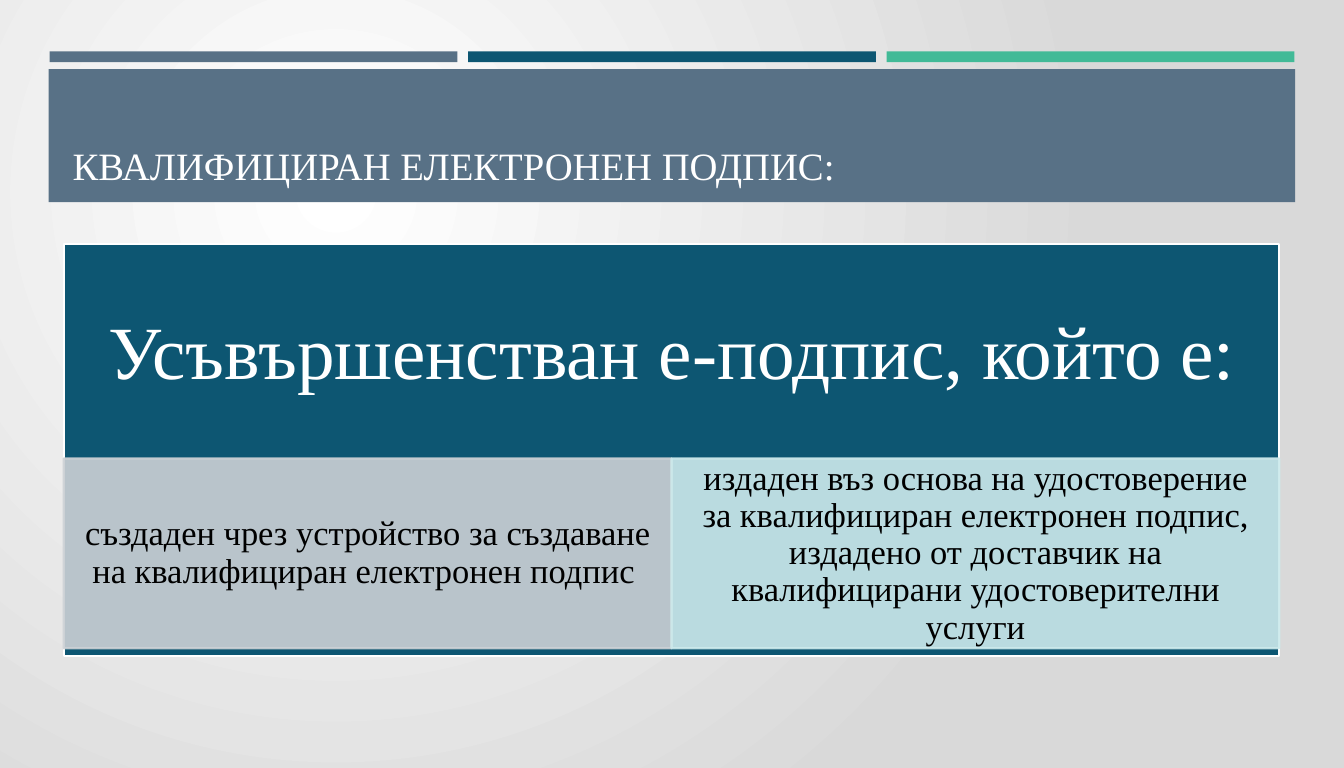
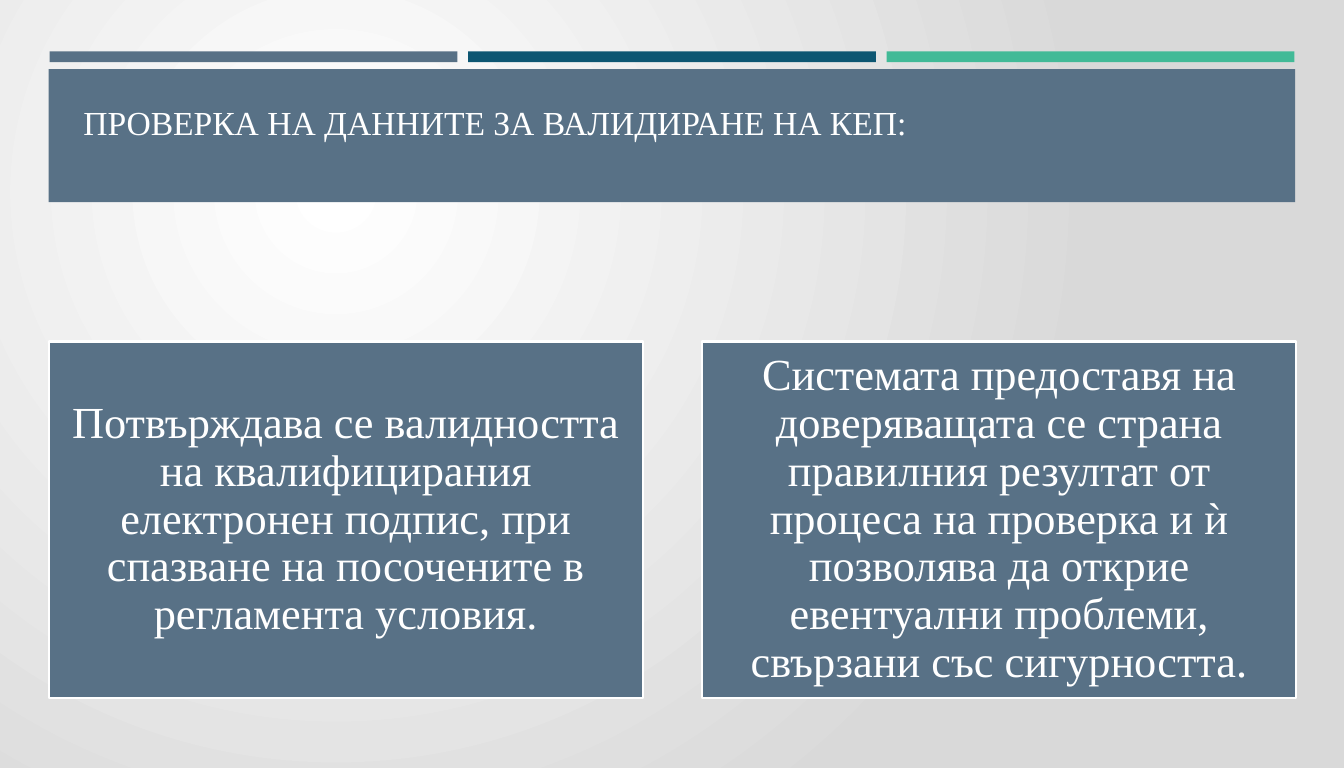
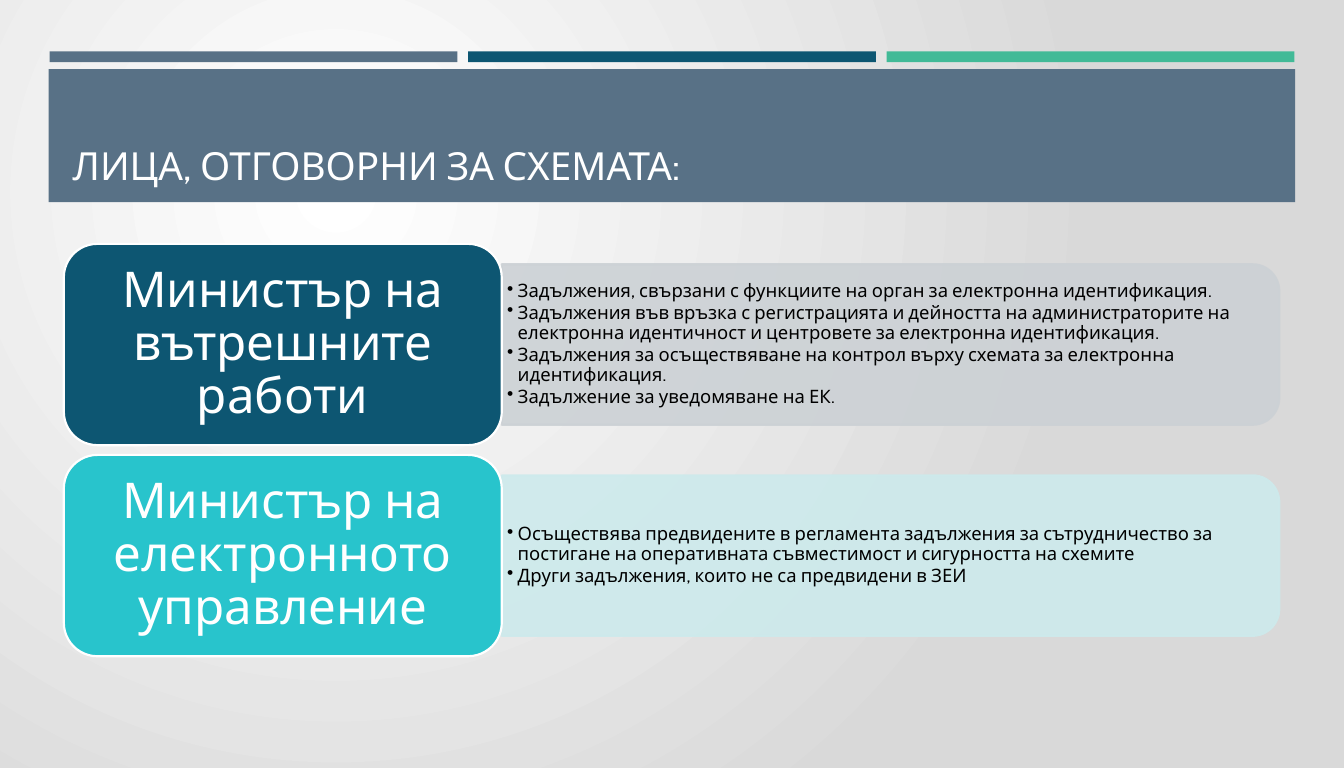
from dataclasses import dataclass

from lxml import etree
from pptx import Presentation
from pptx import util as u
from pptx.dml.color import RGBColor
from pptx.enum import shapes, text
from pptx.oxml.ns import qn

COLORS = {
    "slate": "587186",
    "navy": "0D5672",
    "green": "42BA97",
    "aqua": "28C4CC",
    "pale_slate": "CCD1D5",
    "pale_aqua": "CDEAEC",
    "white": "FFFFFF",
    "black": "000000",
    "backdrop": "D9D9D9",
}
SERIF, SANS = "Times New Roman", "Cabin"
RECT = shapes.MSO_SHAPE.RECTANGLE
ROUNDED = shapes.MSO_SHAPE.ROUNDED_RECTANGLE
HALF_ROUNDED = shapes.MSO_SHAPE.ROUND_2_SAME_RECTANGLE


@dataclass
class Box:
    """A region in inches."""
    left: float
    top: float
    width: float
    height: float

    def inches(self):
        return [u.Inches(n) for n in (self.left, self.top, self.width, self.height)]

    def columns(self, count, gap=0):
        width = (self.width - gap * (count - 1)) / count
        return [Box(self.left + i * (width + gap), self.top, width, self.height)
                for i in range(count)]

    def rows(self, count, gap=0):
        height = (self.height - gap * (count - 1)) / count
        return [Box(self.left, self.top + i * (height + gap), self.width, height)
                for i in range(count)]

    def turned(self):
        """Frame that covers this region after a quarter turn."""
        return Box(self.left + (self.width - self.height) / 2,
                   self.top + (self.height - self.width) / 2,
                   self.height, self.width)


CONTENT = Box(0.72, 2.75, 13.71, 4.65)
TITLE = Box(0.72, 0.89, 13.71, 1.28)


def rgb(name):
    return RGBColor.from_string(COLORS[name])


# Basic parts
def add_panel(page, box, color, outline="white", kind=RECT, opacity=100):
    panel = page.shapes.add_shape(kind, *box.inches())
    panel.shadow.inherit = False
    panel.fill.solid()
    panel.fill.fore_color.rgb = rgb(color)
    if outline:
        panel.line.color.rgb = rgb(outline)
        panel.line.width = u.Pt(1.75)
    else:
        panel.line.fill.background()
    if opacity < 100:
        for tint in panel.element.spPr.iter(qn("a:srgbClr")):
            etree.SubElement(tint, qn("a:alpha")).set("val", str(opacity * 1000))
    return panel


def set_margins(frame, left, top, right, bottom):
    frame.margin_left, frame.margin_top = u.Inches(left), u.Inches(top)
    frame.margin_right, frame.margin_bottom = u.Inches(right), u.Inches(bottom)


def style_runs(para, size, font, color):
    for span in para.runs:
        span.font.size = u.Pt(size)
        span.font.name = font
        span.font.color.rgb = rgb(color)


def write_centred(shape, words, size, font, color="white", margins=(0.15,) * 4):
    frame = shape.text_frame
    frame.word_wrap = True
    frame.vertical_anchor = text.MSO_ANCHOR.MIDDLE
    set_margins(frame, *margins)
    frame.text = words
    para = frame.paragraphs[0]
    para.alignment = text.PP_ALIGN.CENTER
    para.line_spacing = 0.9
    style_runs(para, size, font, color)


def add_bullets(page, box, items):
    frame = page.shapes.add_textbox(*box.inches()).text_frame
    frame.word_wrap = True
    frame.vertical_anchor = text.MSO_ANCHOR.MIDDLE
    set_margins(frame, 0.06, 0.03, 0.06, 0.03)
    frame.text = "\n".join(items)
    for para in frame.paragraphs:
        properties = para._p.get_or_add_pPr()
        properties.set("marL", str(u.Inches(0.12)))
        properties.set("indent", str(-u.Inches(0.12)))
        etree.SubElement(properties, qn("a:buChar")).set("char", "•")
        para.line_spacing = 0.9
        para.space_after = u.Pt(1.5)
        style_runs(para, 15, SANS, "black")


# Shared look
def paint_background(master):
    fill = master.background.fill
    fill.gradient()
    for stop, name in zip(fill.gradient_stops, ("white", "backdrop")):
        stop.color.rgb = rgb(name)
    gradient = next(master.element.iter(qn("a:gradFill")))
    gradient.remove(gradient.find(qn("a:lin")))
    circle = etree.SubElement(gradient, qn("a:path"))
    circle.set("path", "circle")
    focus = etree.SubElement(circle, qn("a:fillToRect"))
    for side, share in zip("ltrb", (50, 50, 100, 100)):
        focus.set(side, str(share * 1000))


def move_bands_to_layout(page, layout):
    stripes = Box(0.56, 0.58, 14.04, 0.12).columns(3, gap=0.12)
    bands = [add_panel(page, box, color, outline=None)
             for box, color in zip(stripes, ("slate", "navy", "green"))]
    bands.append(add_panel(page, Box(0.55, 0.78, 14.06, 1.5), "slate", outline=None))
    for index, band in enumerate(bands):
        band.element.nvSpPr.cNvPr.set("id", str(20 + index))
        layout.shapes.element.insert(2 + index, band.element)


def add_page(deck, words, box=TITLE, size=31.4, font=SERIF):
    page = deck.slides.add_slide(deck.slide_layouts[5])
    title = page.shapes.title
    title.left, title.top, title.width, title.height = box.inches()
    frame = title.text_frame
    frame.text = words
    frame.word_wrap = True
    frame.auto_size = text.MSO_AUTO_SIZE.NONE
    frame.vertical_anchor = text.MSO_ANCHOR.BOTTOM
    frame.paragraphs[0].alignment = text.PP_ALIGN.LEFT
    style_runs(frame.paragraphs[0], size, font, "white")
    return page


# Content regions
def add_definition(page, box, heading, parts):
    """Heading block with a row of tinted parts near its foot."""
    header_height, part_top, part_height = 2.51, 2.42, 2.14
    block = add_panel(page, box, "navy")
    foot = box.height - header_height + 0.47
    write_centred(block, heading, 61, SERIF, margins=(0.47, 0.47, 0.47, foot))
    strip = Box(box.left, box.top + part_top, box.width, part_height)
    for cell, (color, words) in zip(strip.columns(len(parts)), parts):
        panel = add_panel(page, cell, color, outline=color, opacity=90)
        write_centred(panel, words, 28, SERIF, "black", (0.22, 0.04, 0.22, 0.04))


def add_cards(page, box, statements):
    for cell, words in zip(box.columns(len(statements), gap=0.67), statements):
        write_centred(add_panel(page, cell, "slate"), words, 36, SERIF)


def add_duty_row(page, box, name, color, tint, duties):
    """Rounded name block with a tinted list of duties on its right."""
    name_width, inset = 4.94, 0.23
    area = Box(box.left + name_width, box.top + inset,
               box.width - name_width, box.height - 2 * inset)
    back = add_panel(page, area.turned(), tint, tint, HALF_ROUNDED, 90)
    back.rotation = 90
    add_bullets(page, Box(area.left, area.top + 0.09, area.width - 0.09,
                          area.height - 0.18), duties)
    block = add_panel(page, Box(box.left, box.top, name_width, box.height),
                      color, kind=ROUNDED)
    write_centred(block, name, 40, SANS, margins=(0.17, 0.08, 0.17, 0.08))


def main():
    deck = Presentation()
    deck.slide_width, deck.slide_height = u.Inches(15.16), u.Inches(8.66)
    paint_background(deck.slide_master)

    # Definition of the signature
    page = add_page(deck, "КВАЛИФИЦИРАН ЕЛЕКТРОНЕН ПОДПИС:")
    move_bands_to_layout(page, deck.slide_layouts[5])
    add_definition(page, CONTENT, "Усъвършенстван е-подпис, който е:", [
        ("pale_slate", "създаден чрез устройство за създаване на квалифициран "
                       "електронен подпис "),
        ("pale_aqua", "издаден въз основа на удостоверение за квалифициран "
                      "електронен подпис, издадено от доставчик на "
                      "квалифицирани удостоверителни услуги"),
    ])

    # Validation
    page = add_page(deck, "ПРОВЕРКА НА ДАННИТЕ ЗА ВАЛИДИРАНЕ НА КЕП:",
                    Box(0.84, 0.83, 10.69, 0.82), 27.3)
    add_cards(page, Box(0.55, 3.85, 14.07, 4.02), [
        "Потвърждава се валидността на квалифицирания електронен подпис, "
        "при спазване на посочените в регламента условия.",
        "Системата предоставя на доверяващата се страна правилния резултат "
        "от процеса на проверка и ѝ позволява да открие евентуални "
        "проблеми, свързани със сигурността.",
    ])

    # Responsible persons
    page = add_page(deck, "ЛИЦА, ОТГОВОРНИ ЗА СХЕМАТА:", font=SANS)
    ministers = [
        ("Министър на вътрешните работи", "navy", "pale_slate", [
            "Задължения, свързани с функциите на орган за електронна "
            "идентификация.",
            "Задължения във връзка с регистрацията и дейността на "
            "администраторите на електронна идентичност и центровете за "
            "електронна идентификация.",
            "Задължения за осъществяване на контрол върху схемата за "
            "електронна идентификация.",
            "Задължение за уведомяване на ЕК.",
        ]),
        ("Министър на електронното управление", "aqua", "pale_aqua", [
            "Осъществява предвидените в регламента задължения за "
            "сътрудничество за постигане на оперативната съвместимост и "
            "сигурността на схемите",
            "Други задължения, които не са предвидени в ЗЕИ",
        ]),
    ]
    for row, minister in zip(CONTENT.rows(len(ministers), gap=0.11), ministers):
        add_duty_row(page, row, *minister)

    deck.save("out.pptx")


if __name__ == "__main__":
    main()
